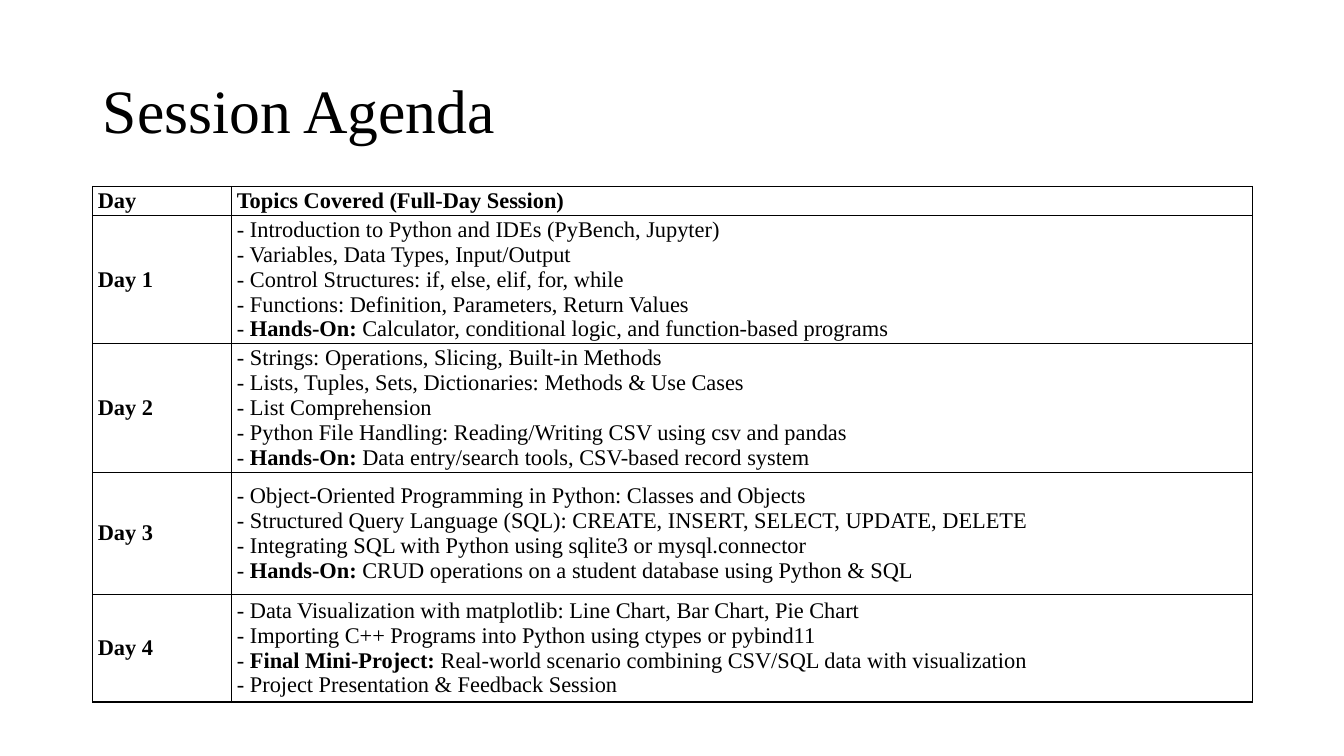
from dataclasses import dataclass

from lxml import etree
from pptx import Presentation
from pptx import util as u
from pptx.dml.color import RGBColor
from pptx.enum import text
from pptx.oxml.ns import qn

BLACK = RGBColor(0x00, 0x00, 0x00)
FONT = "Times New Roman"
COLUMN_WIDTHS = (1.38, 10.12)
CELL_FORMAT = {
    "margin_left": u.Inches(0.05),
    "margin_right": u.Inches(0.05),
    "margin_top": u.Inches(0.02),
    "margin_bottom": u.Inches(0.02),
    "vertical_anchor": text.MSO_ANCHOR.MIDDLE,
}


@dataclass(frozen=True)
class Span:
    words: str
    bold: bool = False


@dataclass(frozen=True)
class AgendaRow:
    day: str
    height: float
    topics: tuple[tuple[Span, ...], ...]


def topic(words: str) -> tuple[Span, ...]:
    return (Span(f"- {words}"),)


def highlight(label: str, words: str) -> tuple[Span, ...]:
    return Span("- "), Span(label, True), Span(f" {words}")


AGENDA = (
    AgendaRow("Day", 0.19, ((Span("Topics Covered (Full-Day Session)", True),),)),
    AgendaRow("Day 1", 1.07, (
        topic("Introduction to Python and IDEs (PyBench, Jupyter)"),
        topic("Variables, Data Types, Input/Output"),
        topic("Control Structures: if, else, elif, for, while"),
        topic("Functions: Definition, Parameters, Return Values"),
        highlight("Hands-On:", "Calculator, conditional logic, and function-based programs"),
    )),
    AgendaRow("Day 2", 1.21, (
        topic("Strings: Operations, Slicing, Built-in Methods"),
        topic("Lists, Tuples, Sets, Dictionaries: Methods & Use Cases"),
        topic("List Comprehension"),
        topic("Python File Handling: Reading/Writing CSV using csv and pandas"),
        highlight("Hands-On:", "Data entry/search tools, CSV-based record system"),
    )),
    AgendaRow("Day 3", 1.21, (
        topic("Object-Oriented Programming in Python: Classes and Objects"),
        topic("Structured Query Language (SQL): CREATE, INSERT, SELECT, UPDATE, DELETE"),
        topic("Integrating SQL with Python using sqlite3 or mysql.connector"),
        highlight("Hands-On:", "CRUD operations on a student database using Python & SQL"),
    )),
    AgendaRow("Day 4", 1.07, (
        topic("Data Visualization with matplotlib: Line Chart, Bar Chart, Pie Chart"),
        topic("Importing C++ Programs into Python using ctypes or pybind11"),
        highlight("Final Mini-Project:", "Real-world scenario combining CSV/SQL data with visualization"),
        topic("Project Presentation & Feedback Session"),
    )),
)


def set_format(target, values: dict) -> None:
    for name, value in values.items():
        setattr(target, name, value)


def add_span(p, span: Span, size: float) -> None:
    r = p.add_run()
    r.text = span.words
    set_format(r.font, {"name": FONT, "size": u.Pt(size), "bold": span.bold})
    r.font.color.rgb = BLACK


def add_borders(cell) -> None:
    tc_pr = cell._tc.get_or_add_tcPr()
    for side in ("lnL", "lnR", "lnT", "lnB"):
        ln = etree.SubElement(tc_pr, qn(f"a:{side}"), w=str(u.Pt(1)))
        fill = etree.SubElement(ln, qn("a:solidFill"))
        etree.SubElement(fill, qn("a:srgbClr"), val=str(BLACK))


def fill_cell(cell, lines: tuple[tuple[Span, ...], ...]) -> None:
    set_format(cell, CELL_FORMAT)
    add_borders(cell)
    cell.fill.background()
    p = cell.text_frame.paragraphs[0]
    for i, line in enumerate(lines):
        if i:
            p.add_line_break()
        for span in line:
            add_span(p, span, 16)
    for br in p._p.findall(qn("a:br")):
        etree.SubElement(br, qn("a:rPr"), sz="1600")


def add_title(s, words: str) -> None:
    sp = s.shapes.title
    set_format(sp, {"left": u.Inches(0.92), "top": u.Inches(0.4),
                    "width": u.Inches(11.5), "height": u.Inches(1.45)})
    tf = sp.text_frame
    set_format(tf, {"word_wrap": True, "vertical_anchor": text.MSO_ANCHOR.MIDDLE})
    p = tf.paragraphs[0]
    set_format(p, {"alignment": text.PP_ALIGN.LEFT, "line_spacing": 0.9})
    add_span(p, Span(words), 44)


def add_agenda(s, agenda: tuple[AgendaRow, ...]) -> None:
    height = sum(row.height for row in agenda)
    table = s.shapes.add_table(len(agenda), len(COLUMN_WIDTHS), u.Inches(0.92), u.Inches(1.85),
                               u.Inches(sum(COLUMN_WIDTHS)), u.Inches(height)).table
    set_format(table, {"first_row": False, "horz_banding": False})
    for column, width in zip(table.columns, COLUMN_WIDTHS):
        column.width = u.Inches(width)
    for i, row in enumerate(agenda):
        table.rows[i].height = u.Inches(row.height)
        fill_cell(table.cell(i, 0), ((Span(row.day, True),),))
        fill_cell(table.cell(i, 1), row.topics)


def main() -> None:
    prs = Presentation()
    set_format(prs, {"slide_width": u.Inches(13.33), "slide_height": u.Inches(7.5)})
    s = prs.slides.add_slide(prs.slide_layouts[5])
    add_title(s, "Session Agenda")
    add_agenda(s, AGENDA)
    prs.save("out.pptx")


if __name__ == "__main__":
    main()
